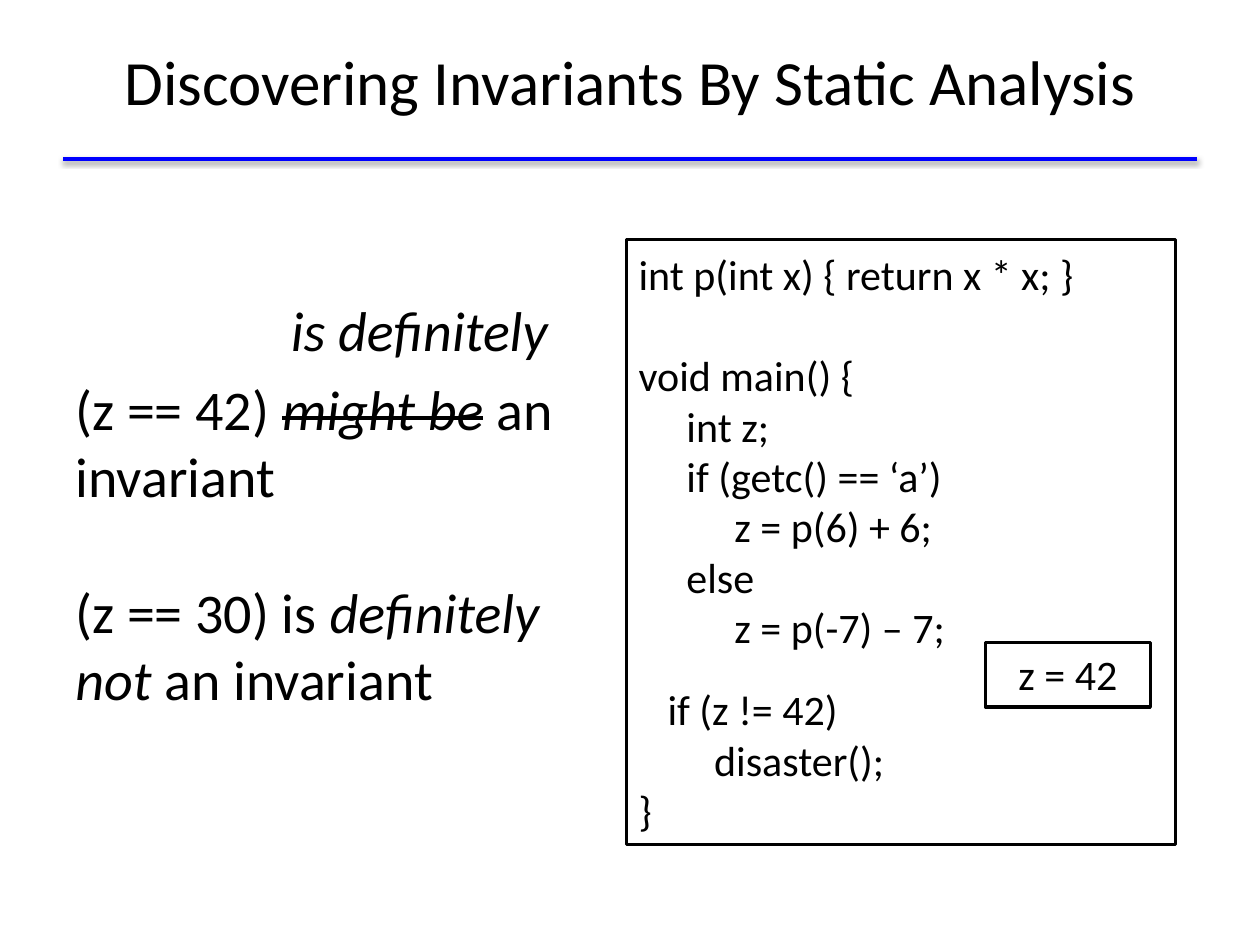
"""Build a slide on discovering invariants by static analysis."""
from pptx import Presentation, oxml, util as u
from pptx.dml.color import RGBColor
from pptx.enum import shapes, text
from pptx.oxml import ns

COLORS = {"ink": "000000", "rule": "0000FF"}
FONT = "Calibri"
MARGIN = 0.5


def add_span(para, words, size, **extra):
    """Append one formatted run to a paragraph."""
    span = para.add_run()
    span.text = words
    formats = {"name": FONT, "size": u.Pt(size), **extra}
    for name, value in formats.items():
        setattr(span.font, name, value)
    span.font.color.rgb = RGBColor.from_string(COLORS["ink"])
    return span


def add_frame(slide, place, weight, anchor):
    """Add an outlined rectangle and return its text frame."""
    box = slide.shapes.add_shape(shapes.MSO_SHAPE.RECTANGLE, *map(u.Inches, place))
    box.shadow.inherit = False
    box.fill.background()
    box.line.color.rgb = RGBColor.from_string(COLORS["ink"])
    box.line.width = u.Pt(weight)
    box.text_frame.vertical_anchor = anchor
    box.text_frame.word_wrap = True
    return box.text_frame


deck = Presentation()
deck.slide_width, deck.slide_height = u.Inches(10), u.Inches(7.5)
slide = deck.slides.add_slide(deck.slide_layouts[5])

title = slide.shapes.title
title_place = {"left": MARGIN, "top": 0.01, "width": 9, "height": 1.25}
for name, value in title_place.items():
    setattr(title, name, u.Inches(value))
title.text_frame.vertical_anchor = text.MSO_ANCHOR.MIDDLE
para = title.text_frame.paragraphs[0]
para.alignment = text.PP_ALIGN.CENTER
add_span(para, "Discovering Invariants By Static Analysis", 36)

rule = slide.shapes.add_connector(
    shapes.MSO_CONNECTOR.STRAIGHT,
    *map(u.Inches, (MARGIN, 1.26, 10 - MARGIN, 1.26)),
)
rule.line.color.rgb = RGBColor.from_string(COLORS["rule"])
rule.line.width = u.Pt(2)
rule._element.spPr.append(oxml.parse_xml(
    f'<a:effectLst {ns.nsdecls("a")}>'
    f'<a:outerShdw blurRad="{u.Pt(3.1)}" dist="{u.Pt(1.6)}" dir="5400000" rotWithShape="0">'
    f'<a:srgbClr val="{COLORS["ink"]}"><a:alpha val="38000"/></a:srgbClr>'
    '</a:outerShdw></a:effectLst>'
))

claims = [
    (1.71, 0, [("is definitely", "italic")]),
    (0, 6.4, [("(z == 42) ", ""), ("might be", "struck"), (" an invariant", "")]),
    (0, 39, [("(z == 30) is ", ""), ("definitely not", "italic"), (" an invariant", "")]),
]
body = slide.shapes.add_textbox(*map(u.Inches, (MARGIN, 2.3, 4.1, 3.4))).text_frame
body.word_wrap = True
for index, (indent, gap, spans) in enumerate(claims):
    para = body.add_paragraph() if index else body.paragraphs[0]
    para.space_before = u.Pt(gap)
    para._p.get_or_add_pPr().set("marL", str(u.Inches(indent)))
    for words, style in spans:
        span = add_span(para, words, 32, italic=bool(style))
        if style == "struck":
            span._r.get_or_add_rPr().set("strike", "sngStrike")

code_lines = [
    (0, 0, "int p(int x) { return x * x; }"),
    (0, 29, "void main() {"),
    (0.38, 0, "int z;"),
    (0.38, 0, "if (getc() == ‘a’)"),
    (0.76, 0, "z = p(6) + 6;"),
    (0.38, 0, "else"),
    (0.76, 0, "z = p(-7) – 7;"),
    (0.23, 18, "if (z != 42)"),
    (0.6, 0, "disaster();"),
    (0, 0, "}"),
]
code = add_frame(slide, (4.97, 1.9, 4.36, 4.8), 1.75, text.MSO_ANCHOR.MIDDLE)
for index, (indent, gap, words) in enumerate(code_lines):
    para = code.add_paragraph() if index else code.paragraphs[0]
    para.alignment = text.PP_ALIGN.LEFT
    para.space_before = u.Pt(gap)
    para._p.get_or_add_pPr().set("marL", str(u.Inches(indent)))
    add_span(para, words, 24)

state = add_frame(slide, (7.82, 5.1, 1.31, 0.51), 2, text.MSO_ANCHOR.TOP)
state.paragraphs[0].alignment = text.PP_ALIGN.CENTER
add_span(state.paragraphs[0], "z = 42", 24)

deck.save("out.pptx")
